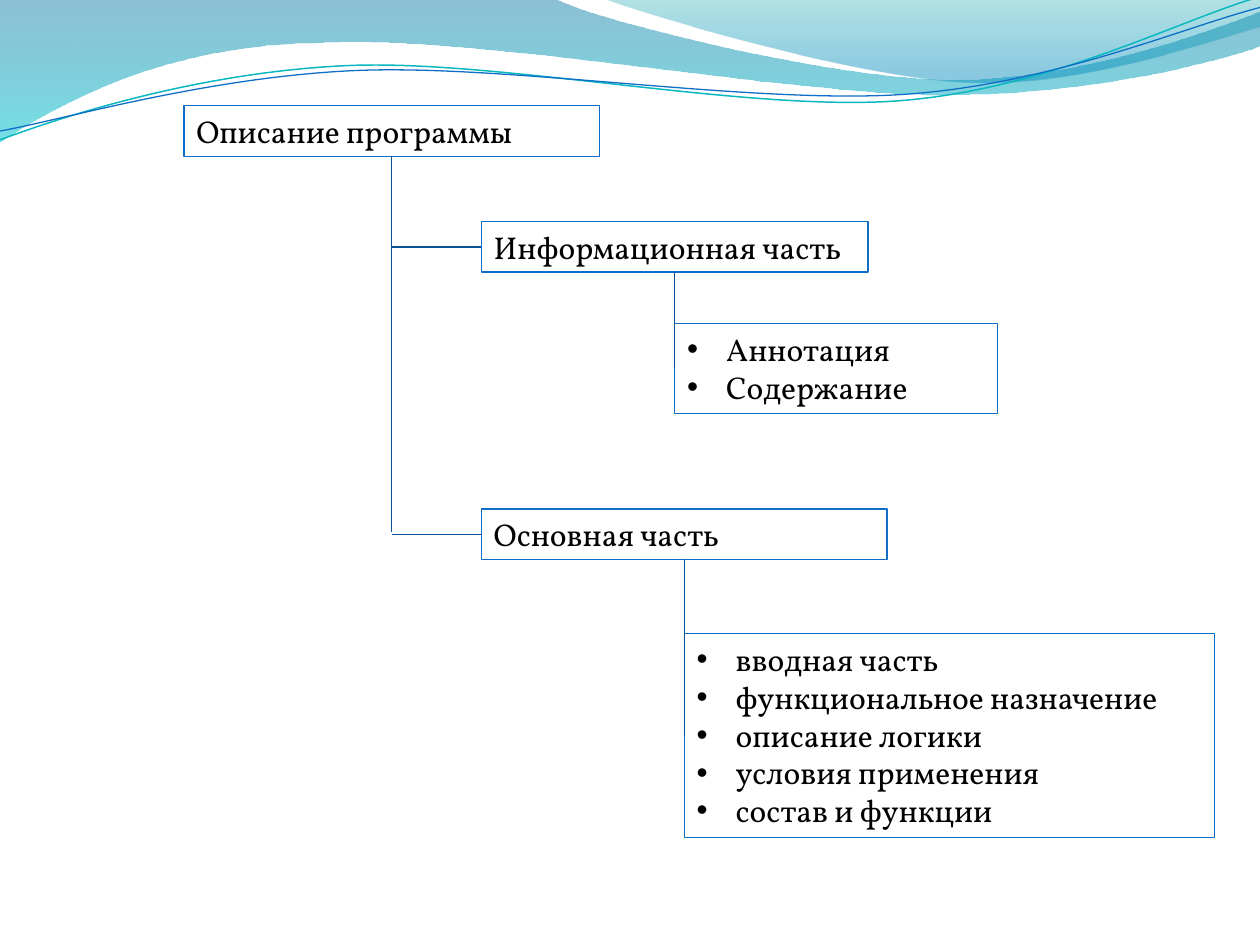
"""Builds a slide with the structure of a program description under a wave header."""
from dataclasses import dataclass
from math import cos, radians, sin

from lxml import etree
from pptx import Presentation
from pptx.dml.color import RGBColor
from pptx.enum.shapes import MSO_CONNECTOR
from pptx.enum.text import MSO_ANCHOR, MSO_AUTO_SIZE
from pptx.oxml.ns import qn
from pptx.util import Emu, Inches, Pt

STRAIGHT = MSO_CONNECTOR.STRAIGHT
FIT_SHAPE = MSO_AUTO_SIZE.SHAPE_TO_FIT_TEXT
TOP = MSO_ANCHOR.TOP
BOTTOM_SIDE, LEFT_SIDE = 2, 1
TILT = -2.7


@dataclass(frozen=True)
class Theme:
    font: str = "Vollkorn"
    bullet_font: str = "Arial"
    text_size: float = 18
    line_width: float = 0.75
    teal_line_width: float = 0.85
    text: str = "000000"
    border: str = "0F6FC6"
    connector: str = "095295"
    teal: str = "0AB8BF"
    wide_wave: tuple = ((0, "0074A1", 45), (1, "00C6CF", 55))
    right_wave: tuple = ((0, "00A1A9", 30), (0.8, "008BBF", 45))


def untilt(point, center):
    angle = radians(-TILT)
    x, y = point[0] - center[0], point[1] - center[1]
    return (center[0] + x * cos(angle) - y * sin(angle),
            center[1] + x * sin(angle) + y * cos(angle))


class SlideBuilder:
    def __init__(self, slide, theme):
        self.slide = slide
        self.theme = theme

    def paint_line(self, line, color, width):
        line.color.rgb = RGBColor.from_string(color)
        line.width = Pt(width)

    def outline(self, start, segments, closed):
        points = [start] + [point for segment in segments for point in segment]
        vertices = [(Inches(x), Inches(y)) for x, y in points]
        builder = self.slide.shapes.build_freeform(*vertices[0], scale=1.0)
        builder.add_line_segments(vertices[1:], close=closed)
        shape = builder.convert_to_shape()
        shape.shadow.inherit = False
        steps = iter(list(shape.element.iter(qn("a:lnTo"))))
        for segment in segments:
            first, *others = [next(steps) for _ in segment]
            if others:
                first.tag = qn("a:cubicBezTo")
            for step in others:
                first.append(step[0])
                step.getparent().remove(step)
        return shape

    def wave(self, start, segments, stops):
        shape = self.outline(start, segments, True)
        shape.line.fill.background()
        shape.fill.gradient()
        shape.fill.gradient_angle = 270
        for stop, (position, color, _) in zip(shape.fill.gradient_stops, stops):
            stop.position = position
            stop.color.rgb = RGBColor.from_string(color)
        for element, (_, _, opacity) in zip(shape.element.iter(qn("a:srgbClr")), stops):
            etree.SubElement(element, qn("a:alpha"), val=str(opacity * 1000))

    def wave_line(self, start, curves, center, color, width):
        level_curves = [[untilt(point, center) for point in curve] for curve in curves]
        shape = self.outline(untilt(start, center), level_curves, False)
        shape.rotation = TILT
        shape.fill.background()
        self.paint_line(shape.line, color, width)

    def add_bullet(self, paragraph):
        properties = paragraph._p.get_or_add_pPr()
        properties.set("marL", str(Inches(0.31)))
        properties.set("indent", str(-Inches(0.31)))
        etree.SubElement(properties, qn("a:buFont"), typeface=self.theme.bullet_font)
        etree.SubElement(properties, qn("a:buChar"), char="•")

    def box(self, left, top, width, height, lines, bulleted=False):
        shape = self.slide.shapes.add_textbox(
            Inches(left), Inches(top), Inches(width), Inches(height))
        self.paint_line(shape.line, self.theme.border, self.theme.line_width)
        frame = shape.text_frame
        frame_format = {"word_wrap": True, "auto_size": FIT_SHAPE, "vertical_anchor": TOP}
        for name, value in frame_format.items():
            setattr(frame, name, value)
        frame.text = "\n".join(lines)
        run_format = {"name": self.theme.font, "size": Pt(self.theme.text_size)}
        for paragraph in frame.paragraphs:
            if bulleted:
                self.add_bullet(paragraph)
            font = paragraph.runs[0].font
            for name, value in run_format.items():
                setattr(font, name, value)
            font.color.rgb = RGBColor.from_string(self.theme.text)
        return shape

    def item_box(self, parent, top, width, height, lines):
        left = Emu(bottom_middle(parent)[0]).inches
        return self.box(left, top, width, height, lines, bulleted=True)

    def connector(self, start, end, source=None, target=None):
        line = self.slide.shapes.add_connector(STRAIGHT, *start, *end)
        if source is not None:
            line.begin_connect(source, BOTTOM_SIDE)
        if target is not None:
            line.end_connect(target, LEFT_SIDE)
        self.paint_line(line.line, self.theme.connector, self.theme.line_width)
        etree.SubElement(line.element.spPr, qn("a:effectLst"))


def bottom_middle(shape):
    return shape.left + shape.width // 2, shape.top + shape.height


def left_middle(shape):
    return shape.left, shape.top + shape.height // 2


def draw_header(builder):
    theme = builder.theme
    builder.wave((0, -0.01), [
        [(4.4, -0.01)],
        [(4.76, 0.17), (6.64, 0.63), (7.58, 0.63)],
        [(8.53, 0.63), (9.58, 0.26), (10, 0.09)],
        [(10.01, 0.36)],
        [(9.83, 0.44), (8.7, 0.76), (7.46, 0.75)],
        [(6.22, 0.75), (3.82, 0.28), (2.57, 0.34)],
        [(1.29, 0.35), (0.46, 0.83), (-0.01, 1.13)],
        [(0, -0.01)]], theme.wide_wave)
    builder.wave((4.79, -0.01), [
        [(5.09, 0.11), (6.82, 0.62), (7.69, 0.65)],
        [(8.56, 0.69), (9.61, 0.32), (10, 0.21)],
        [(10, 0)],
        [(4.79, -0.01)]], theme.right_wave)
    builder.wave_line((0, 1.11), [
        [(0.48, 0.93), (1.58, 0.57), (2.77, 0.52)],
        [(3.95, 0.47), (5.93, 0.89), (7.13, 0.8)],
        [(8.33, 0.71), (9.38, 0.15), (9.98, -0.02)]],
        (4.99, 0.58), theme.teal, theme.teal_line_width)
    builder.wave_line((0, 1.04), [
        [(0.47, 0.96), (1.64, 0.61), (2.83, 0.56)],
        [(4.03, 0.51), (5.97, 0.83), (7.17, 0.75)],
        [(8.36, 0.67), (9.41, 0.21), (10, 0.06)]],
        (5, 0.59), theme.border, theme.line_width)


def draw_structure(builder):
    program = builder.box(1.46, 0.84, 3.3, 0.4, ["Описание программы"])
    information = builder.box(3.82, 1.76, 3.07, 0.4, ["Информационная часть"])
    information_items = builder.item_box(
        information, 2.57, 2.56, 0.71, ["Аннотация", "Содержание"])
    main_part = builder.box(3.82, 4.04, 3.22, 0.4, ["Основная часть"])
    main_items = builder.item_box(main_part, 5.03, 4.21, 1.62, [
        "вводная часть", "функциональное назначение", "описание логики",
        "условия применения", "состав и функции"])

    trunk_start = bottom_middle(program)
    trunk_x = trunk_start[0]
    builder.connector(trunk_start, (trunk_x, Inches(4.22)), source=program)
    for part, items in ((information, information_items), (main_part, main_items)):
        branch_end = left_middle(part)
        builder.connector((trunk_x, branch_end[1]), branch_end, target=part)
        builder.connector(bottom_middle(part), left_middle(items), part, items)


def main():
    presentation = Presentation()
    presentation.slide_width = Inches(10)
    presentation.slide_height = Inches(7.5)
    slide = presentation.slides.add_slide(presentation.slide_layouts[6])
    builder = SlideBuilder(slide, Theme())
    draw_header(builder)
    draw_structure(builder)
    presentation.save("out.pptx")


if __name__ == "__main__":
    main()
